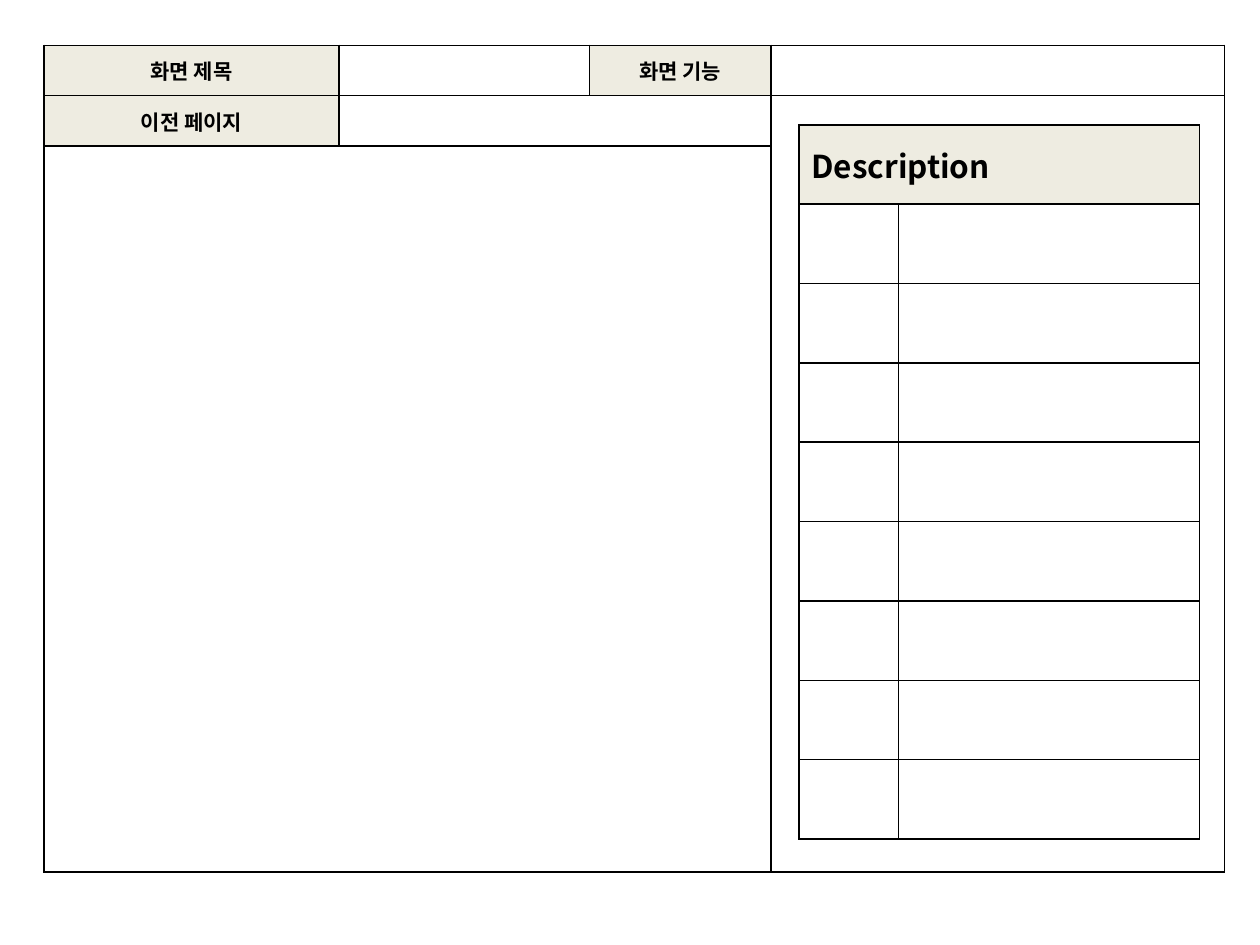
"""Builds a blank storyboard form with a screen header and a description list."""
from lxml.etree import SubElement
from pptx import Presentation
from pptx.dml.color import RGBColor
from pptx.enum.text import MSO_ANCHOR, PP_ALIGN
from pptx.oxml.ns import qn
from pptx.util import Inches, Pt

BLACK = RGBColor(0x00, 0x00, 0x00)
CREAM = RGBColor(0xEE, 0xEC, 0xE1)
FONT = "Noto Sans CJK KR"
BORDER = Pt(1)


class Storyboard:
    def __init__(self, presentation):
        self.slide = presentation.slides.add_slide(presentation.slide_layouts[6])

    def table(self, left, top, widths, heights, merges):
        frame = self.slide.shapes.add_table(
            len(heights), len(widths), Inches(left), Inches(top),
            Inches(sum(widths)), Inches(sum(heights)))
        grid = frame.table
        grid.first_row = grid.horz_banding = False
        for column, width in zip(grid.columns, widths):
            column.width = Inches(width)
        for row, height in zip(grid.rows, heights):
            row.height = Inches(height)
        for cell in grid.iter_cells():
            self.borders(cell)
            cell.fill.background()
            end = SubElement(cell.text_frame.paragraphs[0]._p, qn("a:endParaRPr"))
            end.set("sz", "1200")
        for first, last in merges:
            grid.cell(*first).merge(grid.cell(*last))
        return grid

    def borders(self, cell):
        properties = cell._tc.get_or_add_tcPr()
        for side in ("lnL", "lnR", "lnT", "lnB"):
            line = SubElement(properties, qn(f"a:{side}"), w=str(BORDER))
            fill = SubElement(line, qn("a:solidFill"))
            SubElement(fill, qn("a:srgbClr"), val=str(BLACK))

    def heading(self, cell, text, size, align):
        cell.fill.solid()
        cell.fill.fore_color.rgb = CREAM
        cell.vertical_anchor = MSO_ANCHOR.MIDDLE
        paragraph = cell.text_frame.paragraphs[0]
        paragraph.text = text
        paragraph.alignment = align
        font = paragraph.runs[0].font
        font.size = Pt(size)
        font.bold = True
        font.name = FONT
        font.color.rgb = BLACK
        SubElement(font._element, qn("a:ea"), typeface=FONT)


def main():
    presentation = Presentation()
    presentation.slide_width = Inches(10)
    presentation.slide_height = Inches(7.5)
    board = Storyboard(presentation)

    screen = board.table(
        0.35, 0.36, [2.34, 1.99, 1.44, 3.6], [0.4, 0.4, 5.76],
        [((1, 1), (1, 2)), ((1, 3), (2, 3)), ((2, 0), (2, 2))])
    for row, column, label in [(0, 0, "화면 제목"), (0, 2, "화면 기능"), (1, 0, "이전 페이지")]:
        board.heading(screen.cell(row, column), label, 12, PP_ALIGN.CENTER)

    description = board.table(
        6.34, 0.99, [0.79, 2.39], [0.63] * 9, [((0, 0), (0, 1))])
    board.heading(description.cell(0, 0), "Description", 18, PP_ALIGN.LEFT)

    presentation.save("out.pptx")


if __name__ == "__main__":
    main()
